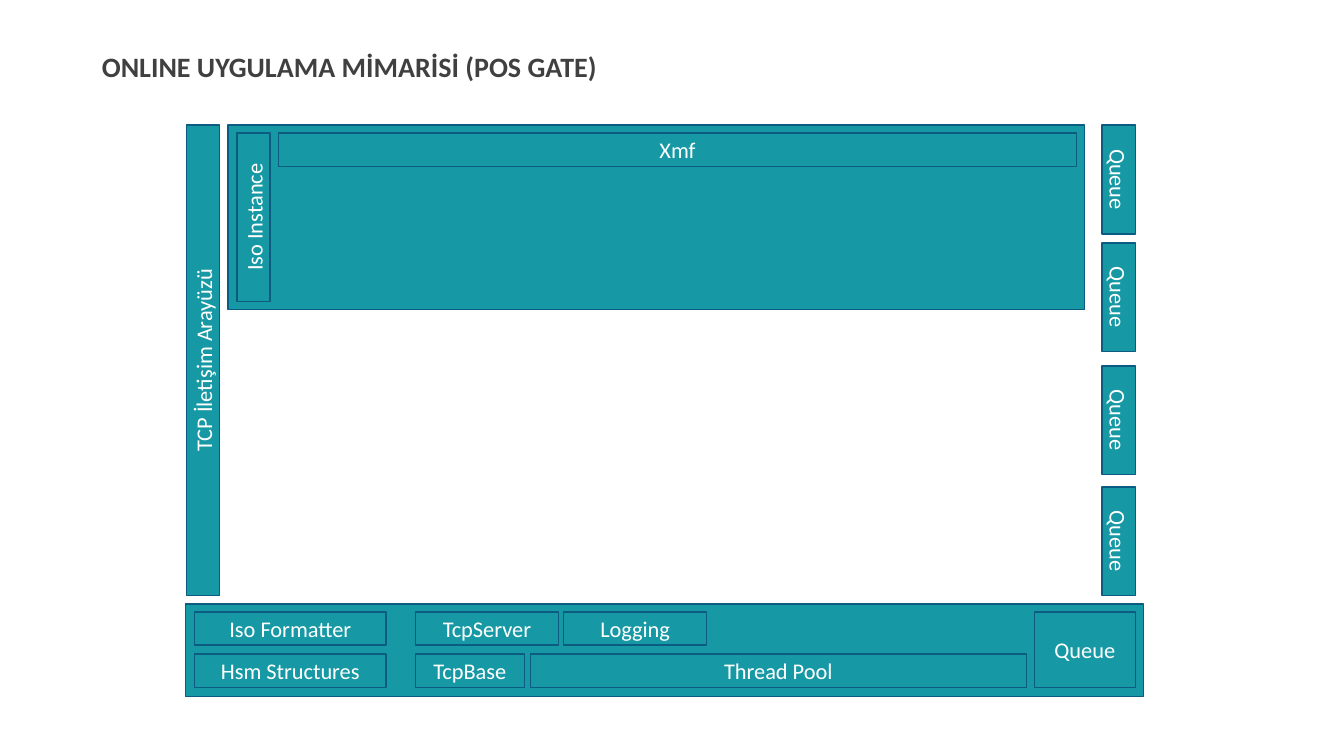
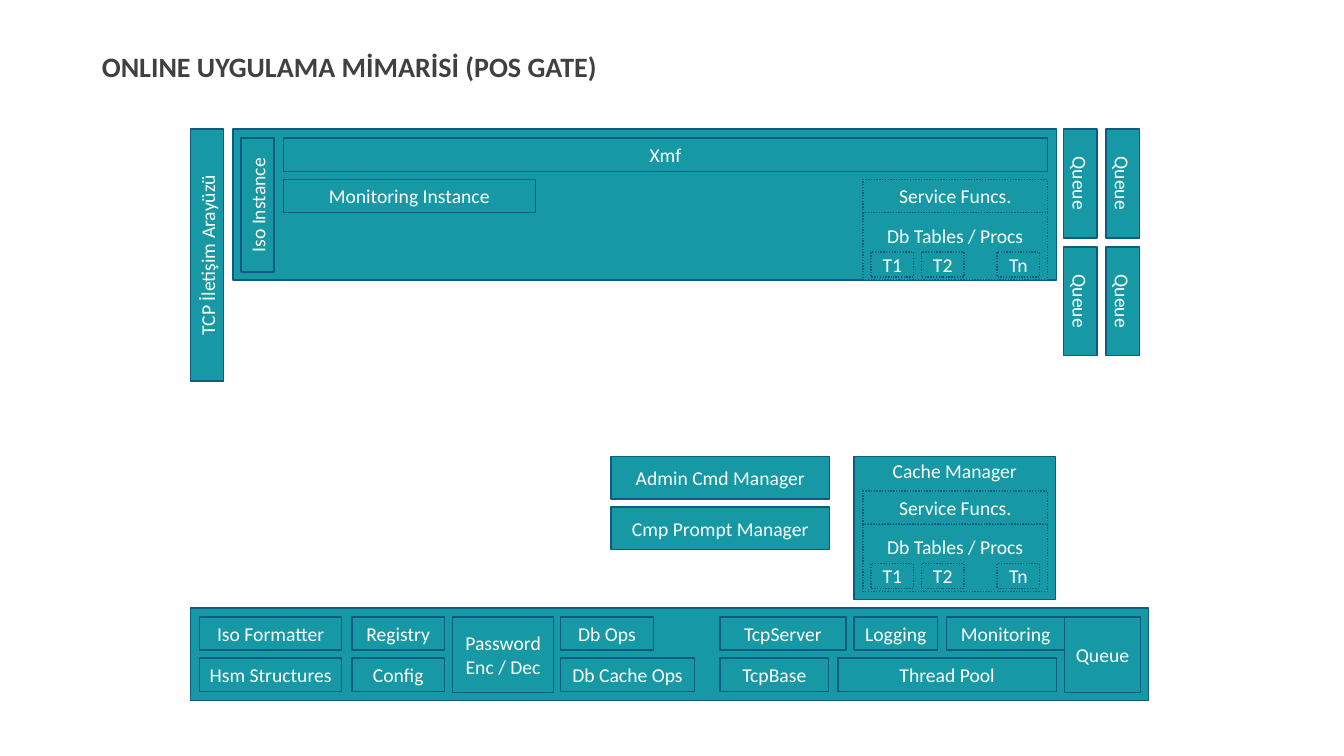
from dataclasses import dataclass

from pptx import Presentation
from pptx.dml.color import RGBColor
from pptx.enum.dml import MSO_LINE
from pptx.enum.shapes import MSO_SHAPE
from pptx.enum.text import MSO_ANCHOR, MSO_AUTO_SIZE, PP_ALIGN
from pptx.util import Inches, Pt

TITLE = "ONLINE UYGULAMA MİMARİSİ (POS GATE)"
QUEUE = "Queue"


@dataclass(frozen=True)
class Theme:
    font: str = "Calibri"
    fill: RGBColor = RGBColor(0x17, 0x99, 0xA5)
    outline: RGBColor = RGBColor(0x0C, 0x5B, 0x80)
    title_color: RGBColor = RGBColor(0x40, 0x40, 0x40)
    label_color: RGBColor = RGBColor(0xFF, 0xFF, 0xFF)
    title_size: int = 20
    large_label: int = 16
    small_label: int = 14
    line_width: int = 1
    bar: float = 0.33  # thickness of rows and upright bars


class ArchitectureDeck:
    """Holds the style and the slide being drawn."""

    def __init__(self, theme):
        self.theme = theme
        self.presentation = Presentation()
        self.presentation.slide_width = Inches(13.33)
        self.presentation.slide_height = Inches(7.5)
        self.slide = None
        self.label_size = theme.large_label

    def add_slide(self, title, label_size):
        layout = self.presentation.slide_layouts.get_by_name("Title Only")
        self.slide = self.presentation.slides.add_slide(layout)
        self.label_size = label_size
        shape = self.slide.shapes.title
        shape.left, shape.top = Inches(0.91), Inches(0.44)
        shape.width, shape.height = Inches(5.15), Inches(0.44)
        frame = shape.text_frame
        frame.text = title
        frame.word_wrap = False
        frame.auto_size = MSO_AUTO_SIZE.SHAPE_TO_FIT_TEXT
        self.format_text(frame, self.theme.title_size, self.theme.title_color,
                         PP_ALIGN.LEFT, bold=True)

    def format_text(self, frame, size, color, alignment, bold=False):
        for paragraph in frame.paragraphs:
            paragraph.alignment = alignment
            for run in paragraph.runs:
                run.font.name = self.theme.font
                run.font.size = Pt(size)
                run.font.bold = bold
                run.font.color.rgb = color

    def box(self, text, left, top, width, height=None, dotted=False,
            top_inset=None, container=None):
        """Labelled rectangle; a top inset puts the label at the top."""
        shapes = (container or self.slide).shapes
        shape = shapes.add_shape(
            MSO_SHAPE.RECTANGLE, Inches(left), Inches(top), Inches(width),
            Inches(height or self.theme.bar))
        shape.shadow.inherit = False
        shape.fill.solid()
        shape.fill.fore_color.rgb = self.theme.fill
        shape.line.color.rgb = self.theme.outline
        shape.line.width = Pt(self.theme.line_width)
        if dotted:
            shape.line.dash_style = MSO_LINE.ROUND_DOT
        if text:
            frame = shape.text_frame
            frame.text = text
            frame.word_wrap = True
            frame.margin_left = frame.margin_right = Inches(0.05)
            frame.vertical_anchor = MSO_ANCHOR.MIDDLE
            if top_inset is not None:
                frame.vertical_anchor = MSO_ANCHOR.TOP
                frame.margin_top = Inches(top_inset)
            self.format_text(frame, self.label_size, self.theme.label_color,
                             PP_ALIGN.CENTER)
        return shape

    def panel(self, left, top, width, height):
        self.box("", left, top, width, height)

    def row(self, top, cells):
        for text, left, width in cells:
            self.box(text, left, top, width)

    def upright_bar(self, text, left, top, length, rotation=270):
        """Bar given by its place as seen, with its text turned."""
        shift = (length - self.theme.bar) / 2
        shape = self.box(text, left - shift, top + shift, length)
        shape.rotation = rotation

    def queues(self, lefts, tops):
        for left in lefts:
            for top in tops:
                self.upright_bar(QUEUE, left, top, 1.08, rotation=90)

    def data_access(self, left, top):
        """Service functions above the database tables, as one group."""
        group = self.slide.shapes.add_group_shape()
        self.box("Db Tables / Procs", left, top + 0.33, 1.83, 0.67,
                 dotted=True, top_inset=0.11, container=group)
        for text, offset in (("T1", 0.08), ("T2", 0.58), ("Tn", 1.33)):
            self.box(text, left + offset, top + 0.72, 0.42, 0.25,
                     dotted=True, container=group)
        self.box("Service Funcs.", left, top, 1.83,
                 dotted=True, container=group)


def add_overview(deck):
    deck.add_slide(TITLE, deck.theme.large_label)

    # Base components
    deck.panel(1.84, 5.99, 9.5, 0.92)
    deck.row(6.07, [("Iso Formatter", 1.93, 1.9), ("TcpServer", 4.12, 1.42),
                    ("Logging", 5.59, 1.42)])
    deck.row(6.49, [("Hsm Structures", 1.93, 1.9), ("TcpBase", 4.12, 1.08),
                    ("Thread Pool", 5.26, 4.92)])
    deck.box(QUEUE, 10.26, 6.07, 1, 0.75)

    # Communication bar and queues
    deck.upright_bar("TCP İletişim Arayüzü", 1.85, 1.24, 4.67)
    deck.queues([10.93], [1.24, 2.41, 3.63, 4.83])

    # Instance panel
    deck.panel(2.26, 1.24, 8.5, 1.83)
    deck.upright_bar("Iso Instance", 2.35, 1.32, 1.67)
    deck.box("Xmf", 2.76, 1.32, 7.92)


def add_detail(deck):
    deck.add_slide(TITLE, deck.theme.small_label)

    # Base components
    deck.panel(1.89, 6.03, 9.5, 0.92)
    deck.row(6.12, [("Iso Formatter", 1.98, 1.41), ("Registry", 3.49, 0.92),
                    ("Db Ops", 5.56, 0.92), ("TcpServer", 7.14, 1.25),
                    ("Logging", 8.47, 0.83), ("Monitoring", 9.39, 1.17)])
    deck.row(6.53, [("Hsm Structures", 1.98, 1.41), ("Config", 3.49, 0.92),
                    ("Db Cache Ops", 5.56, 1.33), ("TcpBase", 7.14, 1.08),
                    ("Thread Pool", 8.31, 2.17)])
    deck.box("Password Enc / Dec", 4.49, 6.12, 1, 0.75)
    deck.box(QUEUE, 10.56, 6.12, 0.75, 0.75)

    # Communication bar and queues
    deck.upright_bar("TCP İletişim Arayüzü", 1.89, 1.28, 2.5)
    deck.queues([10.55, 10.97], [1.28, 2.45])

    # Instance panel
    deck.panel(2.31, 1.28, 8.17, 1.5)
    deck.upright_bar("Iso Instance", 2.39, 1.37, 1.33)
    deck.box("Xmf", 2.81, 1.37, 7.58)
    deck.box("Monitoring Instance", 2.81, 1.78, 2.5)
    deck.data_access(8.56, 1.78)

    # Managers
    deck.box("Admin Cmd Manager", 6.06, 4.53, 2.17, 0.42)
    deck.box("Cmp Prompt Manager", 6.06, 5.03, 2.17, 0.42)
    deck.box("Cache Manager", 8.47, 4.53, 2, 1.42, top_inset=0.02)
    deck.data_access(8.56, 4.87)


def main():
    deck = ArchitectureDeck(Theme())
    add_overview(deck)
    add_detail(deck)
    deck.presentation.save("out.pptx")


if __name__ == "__main__":
    main()
